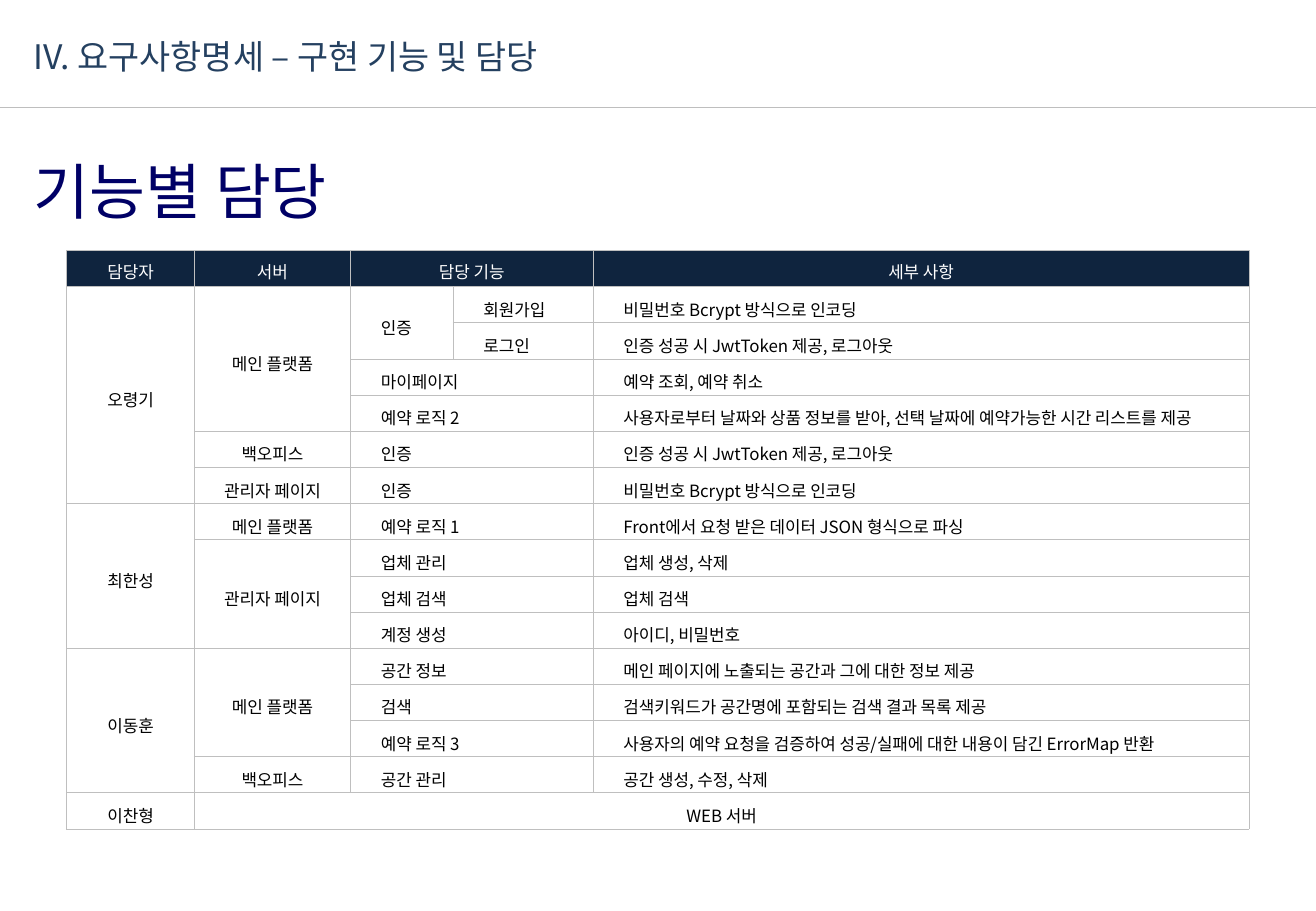
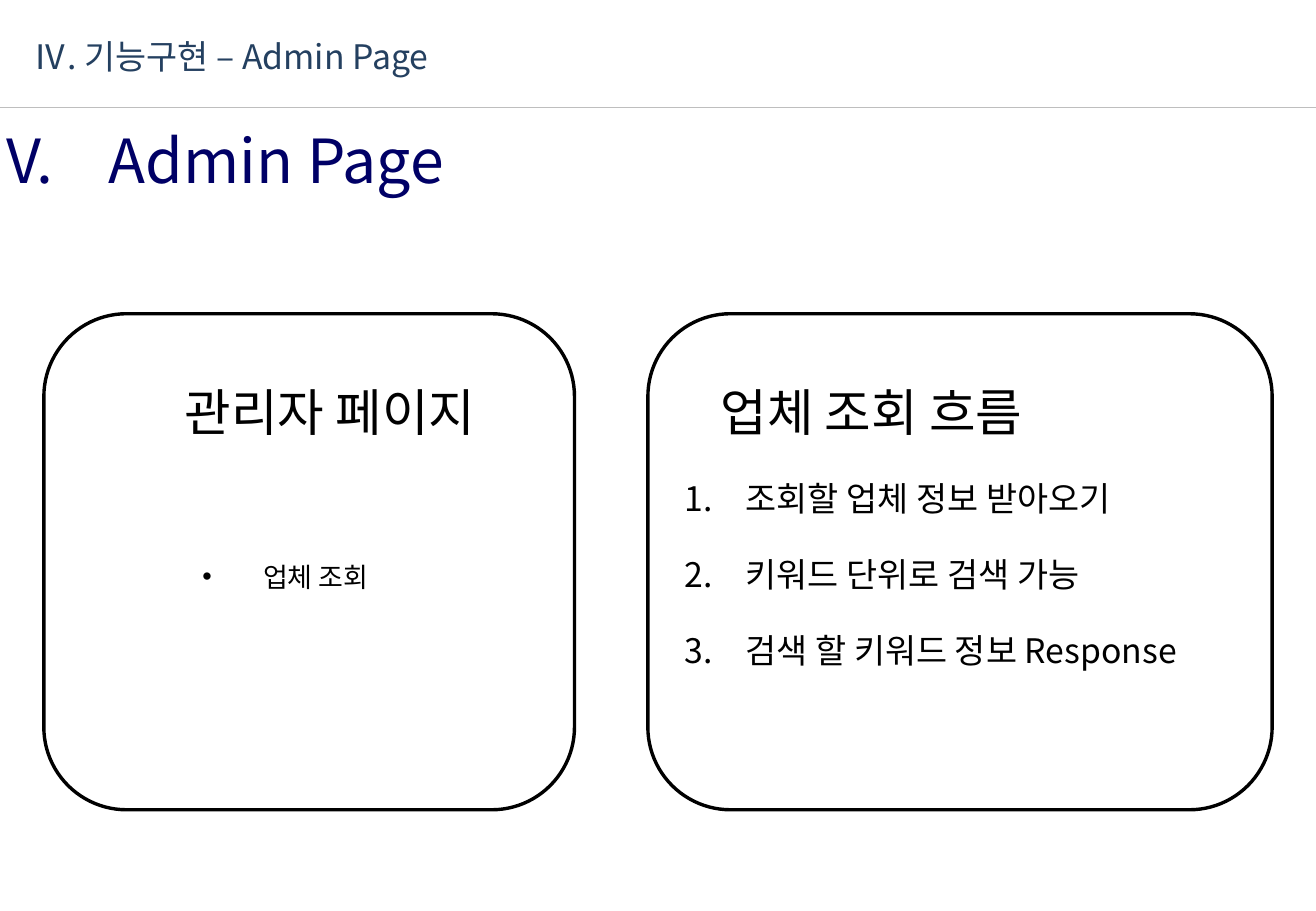
from lxml import etree
from pptx import Presentation
from pptx.dml.color import RGBColor
from pptx.enum.shapes import MSO_CONNECTOR, MSO_SHAPE
from pptx.enum.text import MSO_ANCHOR, MSO_AUTO_SIZE, PP_ALIGN
from pptx.oxml import parse_xml
from pptx.oxml.ns import nsdecls, qn
from pptx.util import Pt

FONT = "Noto Sans CJK KR"
TITLE, HEADING, BLACK, WHITE = "244060", "000066", "000000", "FFFFFF"
HEADER_FILL, RULE, GRID = "0F243E", "BEBEBE", "BFBFBF"
rgb = RGBColor.from_string


def write(tf, text, size, color, align=PP_ALIGN.LEFT, bullet=None, gap=0):
    """Add one paragraph; bullet is an a:buChar or a:buAutoNum element name with its attribute."""
    p = tf.add_paragraph() if tf.text else tf.paragraphs[0]
    if bullet:
        pPr = p._p.get_or_add_pPr()
        pPr.set("marL", str(Pt(36)))
        pPr.set("indent", str(-Pt(36)))
        pPr.append(parse_xml(f"<a:{bullet} {nsdecls('a')}/>"))
    p.alignment, p.line_spacing, p.space_before = align, 1.0, Pt(gap)
    r = p.add_run()
    r.text = text
    r.font.size, r.font.name, r.font.color.rgb = Pt(size), FONT, rgb(color)
    etree.SubElement(r._r.get_or_add_rPr(), qn("a:ea")).set("typeface", FONT)
    return p


def place(sp, left, top, width, height, margins=(0, 1)):
    """Set the box of a text shape and its side and top/bottom margins."""
    sp.left, sp.top, sp.width, sp.height = Pt(left), Pt(top), Pt(width), Pt(height)
    tf = sp.text_frame
    tf.word_wrap, tf.auto_size = True, MSO_AUTO_SIZE.NONE
    tf.vertical_anchor = MSO_ANCHOR.TOP
    tf.margin_left = tf.margin_right = Pt(margins[0])
    tf.margin_top = tf.margin_bottom = Pt(margins[1])
    return tf


prs = Presentation()
prs.slide_width, prs.slide_height = Pt(780), Pt(540)

# Titles and headings of both slides
slides = []
for layout, title, heading, left, top in [
    (5, "IV. 요구사항명세 – 구현 기능 및 담당", "기능별 담당", 20, 90),
    (3, "Ⅳ. 기능구현 – Admin Page", "V. \tAdmin Page", 3.6, 72),
]:
    s = prs.slides.add_slide(prs.slide_layouts[layout])
    write(place(s.shapes.title, 20, 20, 340, 26), title, 20, TITLE)
    sp = s.shapes.add_textbox(0, 0, 0, 0)
    p = write(place(sp, left, top, 315, 45), heading, 36, HEADING)
    if "\t" in heading:
        tabs = f'<a:tabLst {nsdecls("a")}><a:tab pos="{Pt(61)}" algn="l"/></a:tabLst>'
        p._p.get_or_add_pPr().append(parse_xml(tabs))
    slides.append(s)
table_slide, admin_slide = slides

# Rule under the title, kept on the master
rule = table_slide.shapes.add_connector(
    MSO_CONNECTOR.STRAIGHT, 0, Pt(63.5), prs.slide_width, Pt(63.5))
rule.line.color.rgb, rule.line.width = rgb(RULE), Pt(0.25)
etree.SubElement(rule._element.spPr, qn("a:effectLst"))
prs.slide_master.shapes.element.append(rule._element)

# Slide 1: "<" continues the cell to the left, "^" the cell above
rows = [
    ("담당자", "서버", "담당 기능", "<", "세부 사항"),
    ("오령기", "메인 플랫폼", "인증", "회원가입", "비밀번호 Bcrypt 방식으로 인코딩"),
    ("^", "^", "^", "로그인", "인증 성공 시 JwtToken 제공, 로그아웃"),
    ("^", "^", "마이페이지", "<", "예약 조회, 예약 취소"),
    ("^", "^", "예약 로직 2", "<",
     "사용자로부터 날짜와 상품 정보를 받아, 선택 날짜에 예약가능한 시간 리스트를 제공"),
    ("^", "백오피스", "인증", "<", "인증 성공 시 JwtToken 제공, 로그아웃"),
    ("^", "관리자 페이지", "인증", "<", "비밀번호 Bcrypt 방식으로 인코딩"),
    ("최한성", "메인 플랫폼", "예약 로직 1", "<",
     "Front에서 요청 받은 데이터 JSON 형식으로 파싱"),
    ("^", "관리자 페이지", "업체 관리", "<", "업체 생성, 삭제"),
    ("^", "^", "업체 검색", "<", "업체 검색"),
    ("^", "^", "계정 생성", "<", "아이디, 비밀번호"),
    ("이동훈", "메인 플랫폼", "공간 정보", "<",
     "메인 페이지에 노출되는 공간과 그에 대한 정보 제공"),
    ("^", "^", "검색", "<", "검색키워드가 공간명에 포함되는 검색 결과 목록 제공"),
    ("^", "^", "예약 로직 3", "<",
     "사용자의 예약 요청을 검증하여 성공/실패에 대한 내용이 담긴 ErrorMap 반환"),
    ("^", "백오피스", "공간 관리", "<", "공간 생성, 수정, 삭제"),
    ("이찬형", "WEB 서버", "<", "<", "<"),
]
widths = [75.6, 92.6, 60.8, 83, 388.8]
row_height = 21.45
table = table_slide.shapes.add_table(
    len(rows), len(widths), Pt(39.6), Pt(148.5),
    Pt(sum(widths)), Pt(row_height * len(rows))).table
table.first_row = table.horz_banding = False
for column, width in zip(table.columns, widths):
    column.width = Pt(width)
for i, row in enumerate(rows):
    table.rows[i].height = Pt(row_height)
    for j, text in enumerate(row):
        cell = table.cell(i, j)
        header = i == 0
        centred = header or j < 2
        cell.margin_left = Pt(0 if centred else 18)
        cell.margin_right = cell.margin_bottom = 0
        cell.margin_top = Pt(3 if header else 5)
        cell.vertical_anchor = MSO_ANCHOR.MIDDLE
        for side in "LRTB":
            cell._tc.get_or_add_tcPr().append(parse_xml(
                f'<a:ln{side} {nsdecls("a")} w="{Pt(0.5)}"><a:solidFill>'
                f'<a:srgbClr val="{GRID}"/></a:solidFill></a:ln{side}>'))
        if header:
            cell.fill.solid()
            cell.fill.fore_color.rgb = rgb(HEADER_FILL)
        else:
            cell.fill.background()
        if text in "<^":
            continue
        write(cell.text_frame, text, 10, WHITE if header else BLACK,
              PP_ALIGN.CENTER if centred else PP_ALIGN.LEFT)
        last_row, last_col = i, j
        while last_col + 1 < len(row) and row[last_col + 1] == "<":
            last_col += 1
        while last_row + 1 < len(rows) and rows[last_row + 1][j] == "^":
            last_row += 1
        if (last_row, last_col) != (i, j):
            cell.merge(table.cell(last_row, last_col))

# Slide 2: two panels, each with a caption and a list
panels = [
    (26, 314.5, "관리자 페이지", 39.6, PP_ALIGN.CENTER,
     (120, 332, 200, 24), 16, 'buChar char="•"', ["업체 조회"]),
    (384, 370, "업체 조회 흐름", 420, PP_ALIGN.LEFT,
     (406, 283, 326, 130), 20, 'buAutoNum type="arabicPeriod"',
     ["조회할 업체 정보 받아오기", "키워드 단위로 검색 가능", "검색 할 키워드 정보 Response"]),
]
bodies = list(admin_slide.placeholders)[1:]
for body, panel in zip(bodies, panels):
    left, width, caption, caption_left, align, box, size, bullet, items = panel
    sp = admin_slide.shapes.add_shape(
        MSO_SHAPE.ROUNDED_RECTANGLE, Pt(left), Pt(186), Pt(width), Pt(294))
    sp.shadow.inherit = False
    sp.fill.background()
    sp.line.color.rgb, sp.line.width = rgb(BLACK), Pt(2)
    sp = admin_slide.shapes.add_textbox(0, 0, 0, 0)
    write(place(sp, caption_left, 222, 312, 44, (7.2, 3.6)), caption, 30, BLACK, align)
    tf = place(body, *box, margins=(0, 0))
    for n, item in enumerate(items):
        write(tf, item, size, BLACK, bullet=bullet, gap=21 if n else 0)

prs.save("out.pptx")
